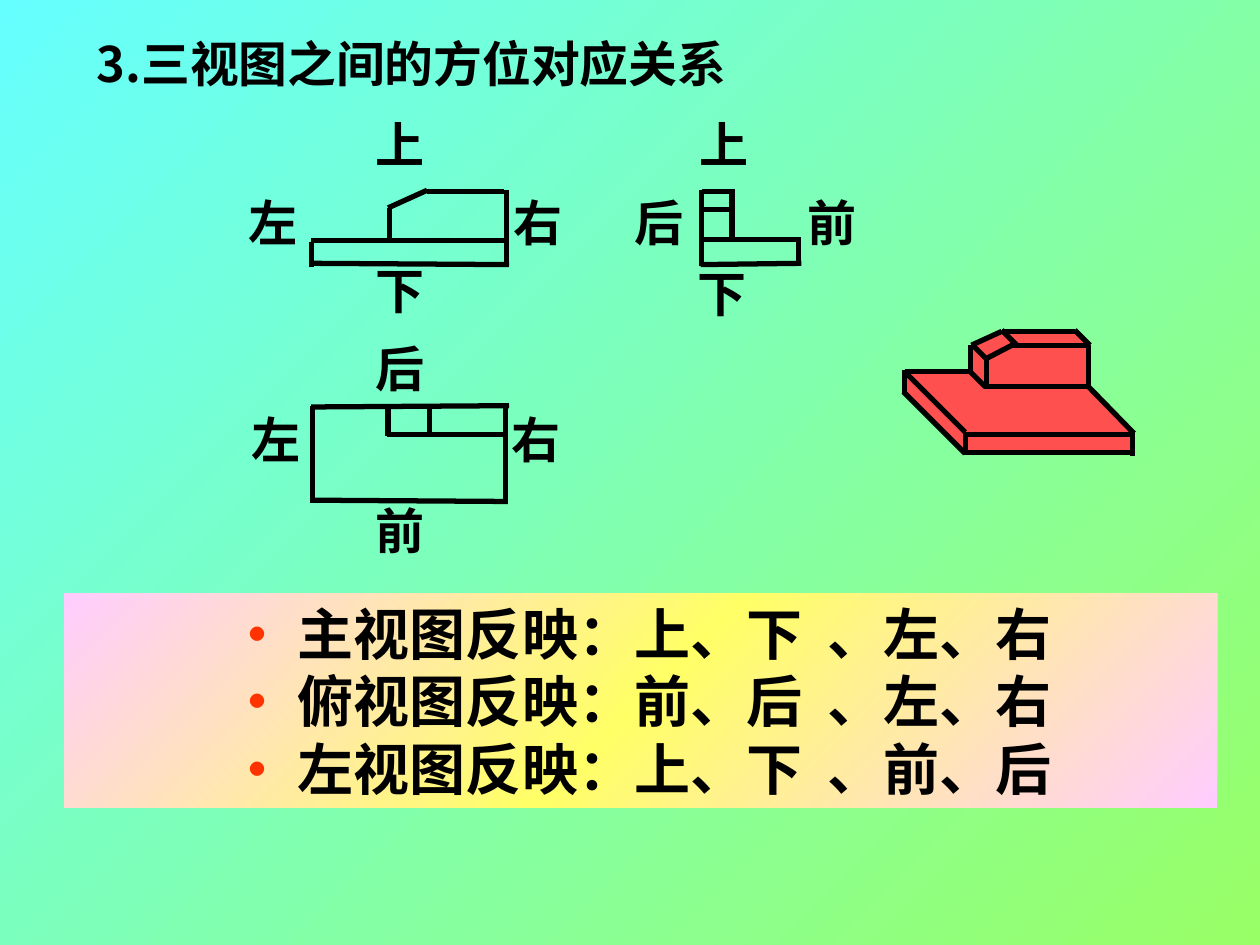
from copy import deepcopy
from lxml.etree import SubElement
from pptx import Presentation
from pptx.dml.color import RGBColor
from pptx.enum.shapes import MSO_CONNECTOR, MSO_SHAPE
from pptx.enum.text import MSO_ANCHOR, PP_ALIGN
from pptx.oxml.ns import qn
from pptx.util import Inches, Pt

BLACK = RGBColor(0x00, 0x00, 0x00)
RED = RGBColor(0xFF, 0x50, 0x50)
ORANGE = RGBColor(0xFF, 0x33, 0x00)
CYAN = RGBColor(0x66, 0xFF, 0xFF)
GREEN = RGBColor(0x99, 0xFF, 0x66)
PINK = RGBColor(0xFF, 0xCC, 0xFF)
YELLOW = RGBColor(0xFF, 0xFF, 0x66)
SANS = "Noto Sans CJK SC"
SERIF = "Times New Roman"

LABELS = [
    ("上", 2.88, 0.86), ("下", 2.88, 2.02), ("左", 1.87, 1.48), ("右", 3.98, 1.48),
    ("后", 2.88, 2.64), ("前", 2.88, 3.92), ("左", 1.9, 3.2), ("右", 3.96, 3.2),
    ("上", 5.45, 0.86), ("下", 5.44, 2.04), ("后", 4.94, 1.48), ("前", 6.31, 1.48),
]
FRONT = [
    (4.04, 2.1, 2.47, 2.09), (2.47, 2.12, 2.47, 1.92), (4.02, 2.1, 4.02, 1.51),
    (4, 1.52, 3.39, 1.52), (3.09, 1.92, 3.09, 1.65), (3.08, 1.65, 3.39, 1.51),
    (2.47, 1.91, 4.03, 1.91),
]
TOP = [
    (2.47, 3.97, 4.03, 3.98), (2.47, 3.23, 4.04, 3.22), (3.07, 3.45, 4.02, 3.45),
    (2.48, 3.22, 2.48, 3.99), (4.01, 3.23, 4.01, 3.99), (3.08, 3.46, 3.08, 3.23),
    (3.41, 3.23, 3.41, 3.45),
]
LEFT = [
    (5.57, 2.11, 5.57, 1.51), (6.34, 2.1, 6.34, 1.9), (5.57, 1.9, 6.36, 1.9),
    (5.56, 2.1, 6.36, 2.09), (5.57, 1.52, 5.83, 1.52), (5.57, 1.66, 5.83, 1.66),
    (5.81, 1.5, 5.81, 1.9),
]
BODY = [
    (7.18, 2.95), (7.69, 2.95), (7.71, 2.75), (7.94, 2.64), (8.51, 2.64), (8.63, 2.74),
    (8.63, 3.08), (9, 3.44), (9, 3.59), (7.66, 3.59), (7.18, 3.13),
]
EDGES = [
    (8.07, 2.74, 7.95, 2.62), (7.66, 3.44, 7.66, 3.59), (7.18, 3.13, 7.18, 2.94),
    (7.83, 3.07, 8.66, 3.07), (8.64, 3.09, 8.64, 2.74), (8.05, 2.73, 7.84, 2.84),
    (7.95, 2.63, 7.71, 2.74), (7.95, 2.63, 8.53, 2.63), (8.03, 2.74, 8.65, 2.74),
    (7.83, 2.83, 7.83, 3.09), (7.7, 2.74, 7.7, 2.95), (7.17, 3.11, 7.66, 3.6),
    (7.65, 3.45, 9, 3.45), (8.99, 3.43, 8.99, 3.62), (7.65, 3.59, 9.01, 3.59),
    (7.18, 2.95, 7.66, 3.43), (9, 3.44, 8.63, 3.06), (7.82, 3.07, 7.69, 2.94),
    (7.18, 2.95, 7.7, 2.95), (8.65, 2.74, 8.53, 2.62), (7.83, 2.85, 7.73, 2.75),
]
FACTS = ["主视图反映：上、下  、左、右", "俯视图反映：前、后  、左、右", "左视图反映：上、下  、前、后"]


class Board:
    def __init__(self, slide):
        self.slide = slide
        self.shapes = slide.shapes

    def blend(self, fill, root, colors):
        fill.gradient()
        fill.gradient_angle = 315
        stops = next(root.iter(qn("a:gsLst")))
        for _ in colors[2:]:
            stops.append(deepcopy(stops[0]))
        for i, (stop, color) in enumerate(zip(fill.gradient_stops, colors)):
            stop.color.rgb = color
            stop.position = i / (len(colors) - 1)

    def run(self, para, text, size, name, color=BLACK):
        run = para.add_run()
        run.text = text
        font = run.font
        font.size, font.bold, font.name = Pt(size), True, name
        font.color.rgb = color
        SubElement(run._r.get_or_add_rPr(), qn("a:ea")).set("typeface", SANS)

    def text(self, text, x, y, w=0.59, h=0.57, size=28, name=SERIF, wrap=False):
        box = self.shapes.add_textbox(Inches(x), Inches(y), Inches(w), Inches(h))
        box.text_frame.word_wrap = wrap
        self.run(box.text_frame.paragraphs[0], text, size, name)
        return box.text_frame

    def panel(self, facts, x, y, w, h):
        box = self.shapes.add_shape(
            MSO_SHAPE.RECTANGLE, Inches(x), Inches(y), Inches(w), Inches(h))
        box.shadow.inherit = False
        self.blend(box.fill, box._element, [PINK, YELLOW, PINK])
        box.line.fill.background()
        frame = box.text_frame
        frame.word_wrap = True
        frame.vertical_anchor = MSO_ANCHOR.TOP
        for i, fact in enumerate(facts):
            para = frame.add_paragraph() if i else frame.paragraphs[0]
            para.alignment = PP_ALIGN.CENTER
            self.run(para, "• ", 32, "Arial", ORANGE)
            self.run(para, fact, 32, SERIF)

    def lines(self, ends):
        for end in ends:
            line = self.shapes.add_connector(
                MSO_CONNECTOR.STRAIGHT, *[Inches(v) for v in end])
            line.line.color.rgb = BLACK
            line.line.width = Pt(3)
            SubElement(line._element.spPr, qn("a:effectLst"))

    def solid(self, points, edges):
        self.shapes = self.slide.shapes.add_group_shape().shapes
        dots = [(Inches(x), Inches(y)) for x, y in points]
        pen = self.shapes.build_freeform(*dots[0])
        pen.add_line_segments(dots[1:], close=True)
        body = pen.convert_to_shape()
        body.shadow.inherit = False
        body.fill.solid()
        body.fill.fore_color.rgb = RED
        body.line.color.rgb = RED
        body.line.width = Pt(1)
        self.lines(edges)
        self.shapes = self.slide.shapes


def main():
    deck = Presentation()
    deck.slide_width, deck.slide_height = Inches(10), Inches(7.5)
    slide = deck.slides.add_slide(deck.slide_layouts[6])
    board = Board(slide)
    board.blend(slide.background.fill, slide._element, [CYAN, GREEN])
    title = board.text("3.三视图之间的方位对应关系", 0.67, 0.25, 7.84, 0.58, 27.9, SANS, True)
    title.vertical_anchor = MSO_ANCHOR.MIDDLE
    title.paragraphs[0].line_spacing = 0.8
    board.panel(FACTS, 0.51, 4.71, 9.15, 1.7)
    for label in LABELS:
        board.text(*label)
    for view in (FRONT, TOP, LEFT):
        board.lines(view)
    board.solid(BODY, EDGES)
    deck.save("out.pptx")


if __name__ == "__main__":
    main()
